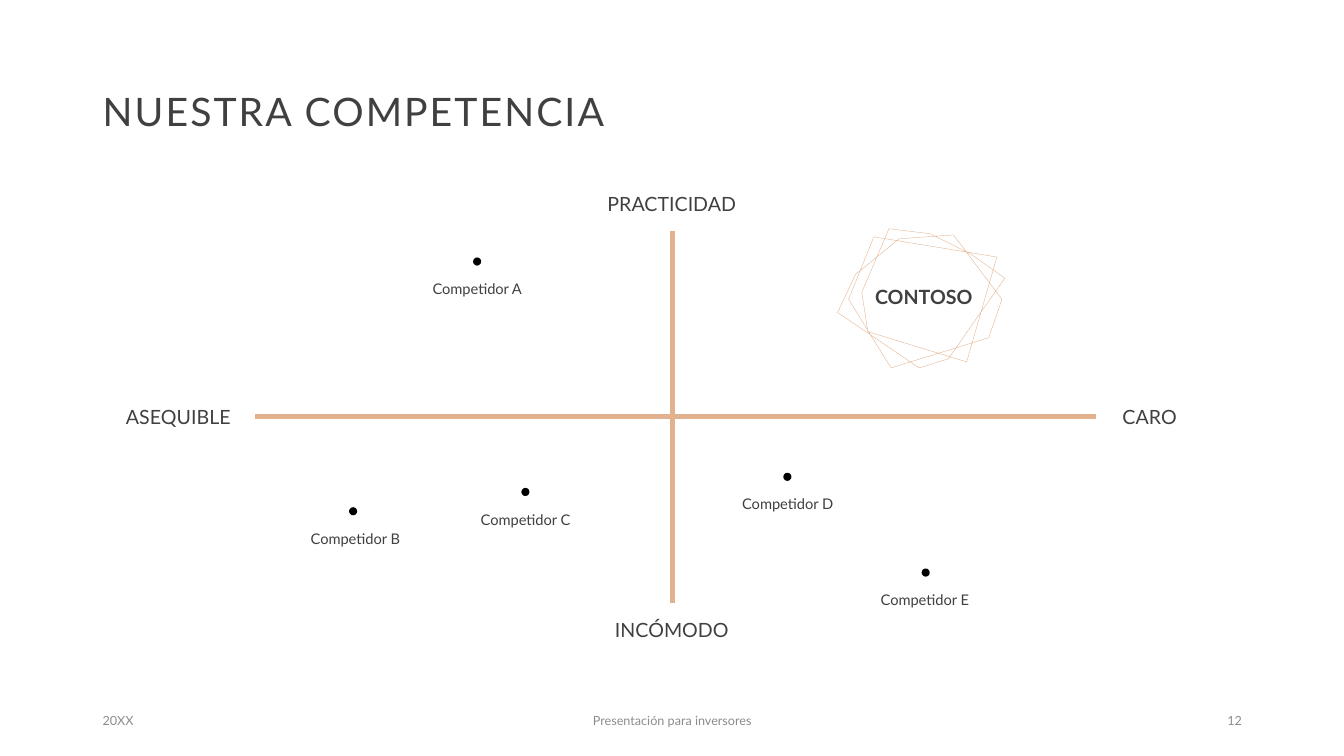
import pptx
import pptx.util
import pptx.dml.color
import pptx.enum.shapes
import pptx.enum.text
import pptx.oxml.ns
from lxml import etree

Pt = pptx.util.Pt
ALIGN = pptx.enum.text.PP_ALIGN
FONT = "Lato"
COLORS = {"text": "404040", "footer": "8C8C8C", "accent": "E2B18D", "dot": "000000"}

DOT_SIZE = 5.8
LABEL_WIDTH, LABEL_HEIGHT = 92.9, 38.9

# Name, dot centre x, dot centre y, label left
COMPETITORS = [
    ("Competidor A", 340.8, 186.8, 294.5),
    ("Competidor B", 252.2, 365.2, 207.4),
    ("Competidor C", 375.3, 351.4, 329),
    ("Competidor D", 562.4, 340.6, 516.2),
    ("Competidor E", 661.2, 409, 614.2),
]

AXIS_LABELS = [
    ("PRACTICIDAD", 412.6, 126, 134.6),
    ("INCÓMODO", 412.6, 430.6, 134.6),
    ("ASEQUIBLE", 72.7, 277.9, 109.4),
    ("CARO", 766.8, 277.9, 108.7),
]

FOOTERS = [
    ("20XX", 66.2, 216, ALIGN.LEFT),
    ("Presentación para inversores", 318.2, 324, ALIGN.CENTER),
    ("12", 678.2, 216, ALIGN.RIGHT),
]

# Three overlapping polygons drawn as one continuous line
BADGE_OUTLINE = [
    (642.2, 170.6), (614.9, 193), (611.3, 195.8), (598.3, 223.2), (656.6, 262.8),
    (677.5, 256.3), (697, 228.2), (717.8, 198.7), (693.4, 181.4), (664.6, 167),
    (635, 163.4), (615.6, 208.8), (619.9, 236.9), (690.5, 258.5), (712.1, 183.6),
    (624.2, 169.2), (606.2, 213.8), (636.5, 262.8), (706.3, 241.2), (715.7, 213.8),
    (681.1, 167.8),
]


def rgb(color):
    return pptx.dml.color.RGBColor.from_string(COLORS[color])


def write_text(frame, text, size, color, align, bold=False):
    """Fill a frame with one vertically centred run and return that run."""
    frame.word_wrap = True
    frame.auto_size = pptx.enum.text.MSO_AUTO_SIZE.NONE
    frame.vertical_anchor = pptx.enum.text.MSO_ANCHOR.MIDDLE
    paragraph = frame.paragraphs[0]
    paragraph.alignment = align
    run = paragraph.add_run()
    run.text = text
    run.font.name = FONT
    run.font.size = Pt(size)
    run.font.bold = bold
    run.font.color.rgb = rgb(color)
    return run


def add_title(slide, text):
    title = slide.shapes.title
    title.left, title.top, title.width, title.height = Pt(66.2), Pt(28.8), Pt(828), Pt(104.4)
    run = write_text(title.text_frame, text, 28, "text", ALIGN.LEFT)
    run.font._element.set("spc", "150")
    title.text_frame.paragraphs[0].line_spacing = 0.9


def add_label(slide, text, left, top, width, height=LABEL_HEIGHT, size=14,
              color="text", align=ALIGN.CENTER, bold=False):
    box = slide.shapes.add_textbox(Pt(left), Pt(top), Pt(width), Pt(height))
    write_text(box.text_frame, text, size, color, align, bold)


def add_axis(slide, x1, y1, x2, y2):
    axis = slide.shapes.add_connector(
        pptx.enum.shapes.MSO_CONNECTOR.STRAIGHT, Pt(x1), Pt(y1), Pt(x2), Pt(y2))
    axis.line.color.rgb = rgb("accent")
    axis.line.width = Pt(3.5)
    etree.SubElement(axis._element.spPr, pptx.oxml.ns.qn("a:effectLst"))


def add_competitor(slide, name, x, y, label_left):
    dot = slide.shapes.add_shape(
        pptx.enum.shapes.MSO_SHAPE.OVAL, Pt(x - DOT_SIZE / 2), Pt(y - DOT_SIZE / 2),
        Pt(DOT_SIZE), Pt(DOT_SIZE))
    dot.shadow.inherit = False
    dot.fill.solid()
    dot.fill.fore_color.rgb = rgb("dot")
    dot.line.fill.background()
    add_label(slide, name, label_left, y, LABEL_WIDTH, size=10.5)


def add_badge_outline(slide):
    start, *corners = [(Pt(x), Pt(y)) for x, y in BADGE_OUTLINE]
    builder = slide.shapes.build_freeform(*start, scale=1.0)
    builder.add_line_segments(corners, close=True)
    badge = builder.convert_to_shape()
    badge.shadow.inherit = False
    badge.fill.background()
    badge.line.color.rgb = rgb("accent")
    badge.line.width = Pt(0.25)


def main():
    deck = pptx.Presentation()
    deck.slide_width, deck.slide_height = Pt(960), Pt(540)
    slide = deck.slides.add_slide(deck.slide_layouts.get_by_name("Title Only"))

    add_axis(slide, 182.2, 297.4, 782.6, 297.4)
    add_axis(slide, 480.2, 430.6, 480.2, 164.9)
    add_title(slide, "NUESTRA COMPETENCIA")
    for text, left, top, width in AXIS_LABELS:
        add_label(slide, text, left, top, width)
    for competitor in COMPETITORS:
        add_competitor(slide, *competitor)
    add_badge_outline(slide)
    add_label(slide, "CONTOSO", 592.6, 170.6, 134.6, height=82.8, bold=True)
    for text, left, width, align in FOOTERS:
        add_label(slide, text, left, 500.4, width, height=28.8, size=9,
                  color="footer", align=align)

    deck.save("out.pptx")


if __name__ == "__main__":
    main()
